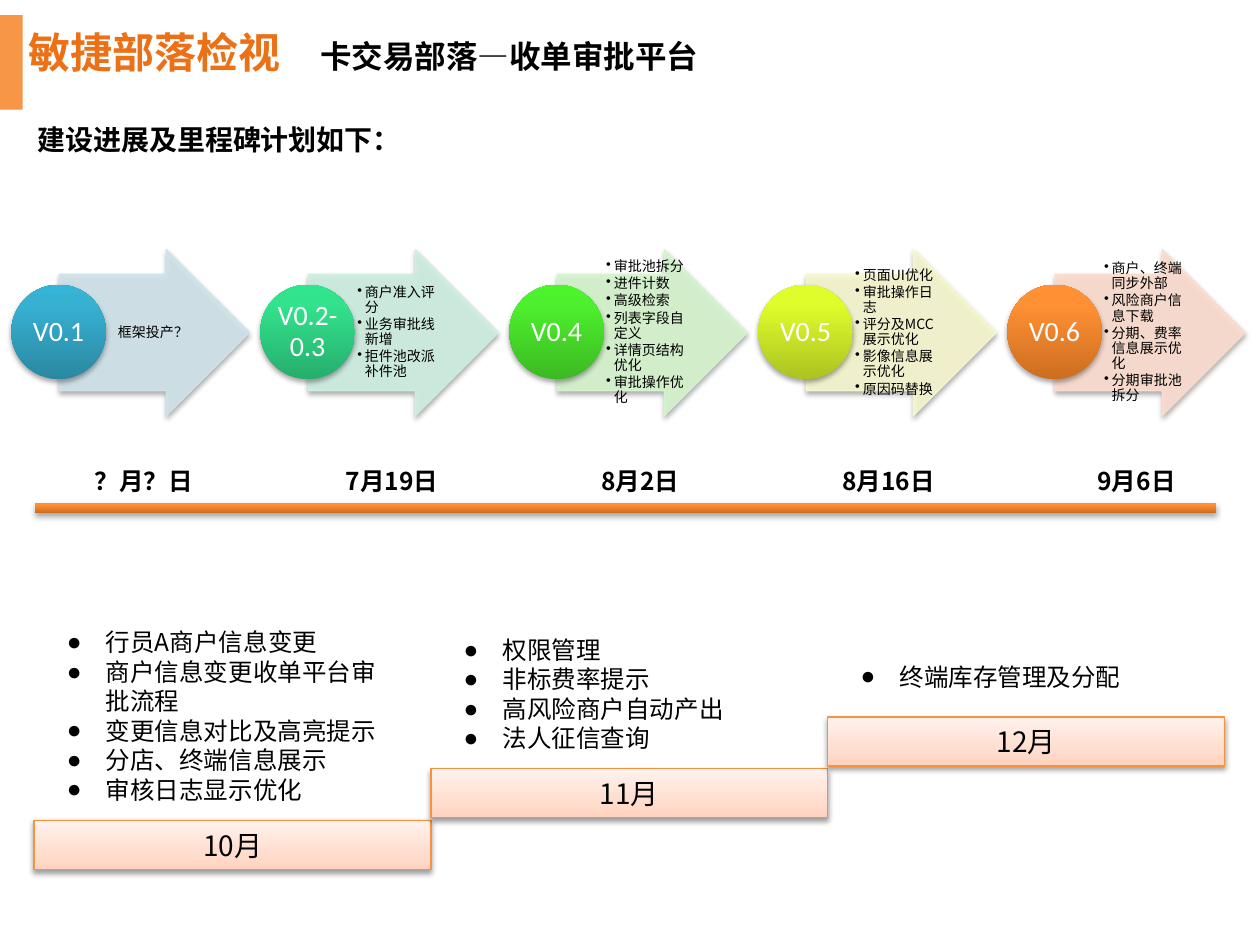
from lxml.etree import SubElement
from copy import deepcopy
from pptx import Presentation
from pptx.util import Inches, Pt
from pptx.dml.color import RGBColor
from pptx.enum.shapes import MSO_SHAPE as SHAPE
from pptx.enum.text import MSO_ANCHOR as ANCHOR, MSO_AUTO_SIZE as AUTO, PP_ALIGN as ALIGN
from pptx.oxml.ns import qn

CJK = "Noto Sans CJK SC"
rgb = RGBColor.from_string


def draw(kind, box, stops, line=None, alpha=100, shadow=(3.1, 1.8, 35)):
    """Shape with a flat colour or an upward gradient, and a soft shadow below."""
    sp = s.shapes.add_shape(kind, *map(Inches, box))
    pr = sp._element.spPr
    if isinstance(stops, str):
        sp.fill.solid()
        sp.fill.fore_color.rgb = rgb(stops)
    else:
        sp.fill.gradient()
        sp.fill.gradient_angle = 90
        gs = pr.find(".//" + qn("a:gsLst"))
        gs.append(deepcopy(gs[-1]))
        for stop, (pos, color) in zip(sp.fill.gradient_stops, stops):
            stop.position, stop.color.rgb = pos, rgb(color)
    if line:
        sp.line.color.rgb, sp.line.width = rgb(line), Pt(0.75)
    else:
        sp.line.fill.background()
    if alpha < 100:
        for clr in pr.iter(qn("a:srgbClr")):
            SubElement(clr, qn("a:alpha"), val=str(alpha * 1000))
    sp.shadow.inherit = False
    if shadow:
        blur, dist, opacity = shadow
        sh = SubElement(pr.find(qn("a:effectLst")), qn("a:outerShdw"), blurRad=str(Pt(blur)),
                        dist=str(Pt(dist)), dir="5400000", rotWithShape="0")
        clr = SubElement(sh, qn("a:srgbClr"), val="000000")
        SubElement(clr, qn("a:alpha"), val=str(opacity * 1000))
    return sp


def write(sp, paras, size, box=None, bold=False, color="000000", font=CJK, align=ALIGN.LEFT,
          anchor=ANCHOR.TOP, ins=(0.1, 0.05), spacing=1, after=0, bullet=None, indent=0):
    """Fill a shape with paragraphs; each one is a string or a list of (text, size, colour)."""
    if box:
        sp.left, sp.top, sp.width, sp.height = map(Inches, box)
    tf = sp.text_frame
    x, y = map(Inches, ins)
    frame = dict(word_wrap=True, auto_size=AUTO.NONE, vertical_anchor=anchor,
                 margin_left=x, margin_right=x, margin_top=y, margin_bottom=y)
    for name, value in frame.items():
        setattr(tf, name, value)
    for i, para in enumerate(paras):
        p = tf.add_paragraph() if i else tf.paragraphs[0]
        p.alignment, p.line_spacing = align, spacing
        p.space_before, p.space_after = Pt(0), Pt(after)
        if bullet:
            pPr = p._p.get_or_add_pPr()
            pPr.set("marL", str(Inches(indent)))
            pPr.set("indent", str(-Inches(indent)))
            SubElement(pPr, qn("a:buChar"), char=bullet)
        for text, pt, clr in [(para, size, color)] if isinstance(para, str) else para:
            r = p.add_run()
            r.text = text
            for name, value in dict(name=font, size=Pt(pt), bold=bold).items():
                setattr(r.font, name, value)
            r.font.color.rgb = rgb(clr)
            SubElement(r._r.get_or_add_rPr(), qn("a:ea"), typeface=font)


prs = Presentation()
prs.slide_width, prs.slide_height = Inches(10), Inches(7.5)
s = prs.slides.add_slide(prs.slide_layouts[4])
title, heading, *lists = s.placeholders

# Title and heading
draw(SHAPE.RECTANGLE, (0, 0.12, 0.18, 0.75), "F79646", shadow=None)
write(title, [[("敏捷部落检视\t", 24, "EC7016"), ("卡交易部落—收单审批平台", 18, "000000")]],
      24, (0.15, 0.17, 8.25, 0.49), bold=True, ins=(0.08, 0.04))
tabs = SubElement(title.text_frame.paragraphs[0]._p.get_or_add_pPr(), qn("a:tabLst"))
SubElement(tabs, qn("a:tab"), pos=str(Inches(2.31)), algn="l")
write(heading, ["建设进展及里程碑计划如下："], 16, (0.2, 0.92, 4, 0.37), bold=True)

# Monthly staircase, each step with its list above
STEP, RISE = 3.15, 0.41
PEACH = [(0, "FFD2BD"), (0.35, "FFDED0"), (1, "FFF2ED")]
months = [
    ("10月", 4.93, 1.51, ["行员A商户信息变更", "商户信息变更收单平台审批流程",
                         "变更信息对比及高亮提示", "分店、终端信息展示", "审核日志显示优化"]),
    ("11月", 4.99, 1.04, ["权限管理", "非标费率提示", "高风险商户自动产出", "法人征信查询"]),
    ("12月", 5.2, 0.34, ["终端库存管理及分配"]),
]
for i, (month, top, height, items) in enumerate(months):
    step = draw(SHAPE.RECTANGLE, (0.27 + i * STEP, 6.51 - i * RISE, STEP, 0.39), PEACH,
                line="F69240", shadow=(3.1, 1.6, 38))
    write(step, [month], 16, align=ALIGN.CENTER, anchor=ANCHOR.MIDDLE)
    write(lists[i], items, 14, (0.43 + i * STEP, top, 2.78, height), bullet="●", indent=0.31)

# Timeline bar
ORANGE = ("CC6E20", "FF9034", "FF9136")
STOPS = (0, 0.8, 1)
draw(SHAPE.RECTANGLE, (0.28, 3.99, 9.37, 0.08), list(zip(STOPS, ORANGE)))

# Version arrows, with a circle on the left and a date below
PITCH = 9.88 / 5
versions = [
    ("V0.1", "？月？日", "D0E3EA", ("2A88A2", "37B1D2", "34B4D6"), ["框架投产？"]),
    ("V0.2-0.3", "7月19日", "CFEFE1", ("26AE6D", "32E28D", "2EE68E"),
     ["商户准入评分", "业务审批线新增", "拒件池改派补件池"]),
    ("V0.4", "8月2日", "D6F4CE", ("3CB923", "4EF02E", "4CF52A"),
     ["审批池拆分", "进件计数", "高级检索", "列表字段自定义", "详情页结构优化", "审批操作优化"]),
    ("V0.5", "8月16日", "F6F8CF", ("ACC321", "DFFD2B", "E1FF2B"),
     ["页面UI优化", "审批操作日志", "评分及MCC展示优化", "影像信息展示优化", "原因码替换"]),
    ("V0.6", "9月6日", "FCDDCF", ORANGE,
     ["商户、终端同步外部", "风险商户信息下载", "分期、费率信息展示优化", "分期审批池拆分"]),
]
tight = dict(anchor=ANCHOR.MIDDLE, ins=(0.01, 0.01), spacing=0.9)
for i, (version, date, tint, shades, items) in enumerate(versions):
    x = 0.09 + i * PITCH
    arrow = draw(SHAPE.RIGHT_ARROW, (x + 0.38, 1.98, 1.51, 1.32), tint, line=tint, alpha=90)
    arrow.adjustments[0], arrow.adjustments[1] = 0.7, 0.5
    style = dict(bullet="•", indent=0.06, after=1.2) if len(items) > 1 else dict(align=ALIGN.CENTER)
    write(s.shapes.add_textbox(0, 0, 0, 0), items, 8, (x + 0.76, 2.18, 0.73, 0.92), **tight, **style)
    circle = draw(SHAPE.OVAL, (x, 2.26, 0.75, 0.75), list(zip(STOPS, shades)))
    write(circle, [version], 16, color="FFFFFF", font="Calibri", align=ALIGN.CENTER, **tight)
    write(s.shapes.add_textbox(0, 0, 0, 0), [date], 14, (0.43 + i * 1.97, 3.65, 1.42, 0.34),
          bold=True, align=ALIGN.CENTER)

prs.save("out.pptx")
